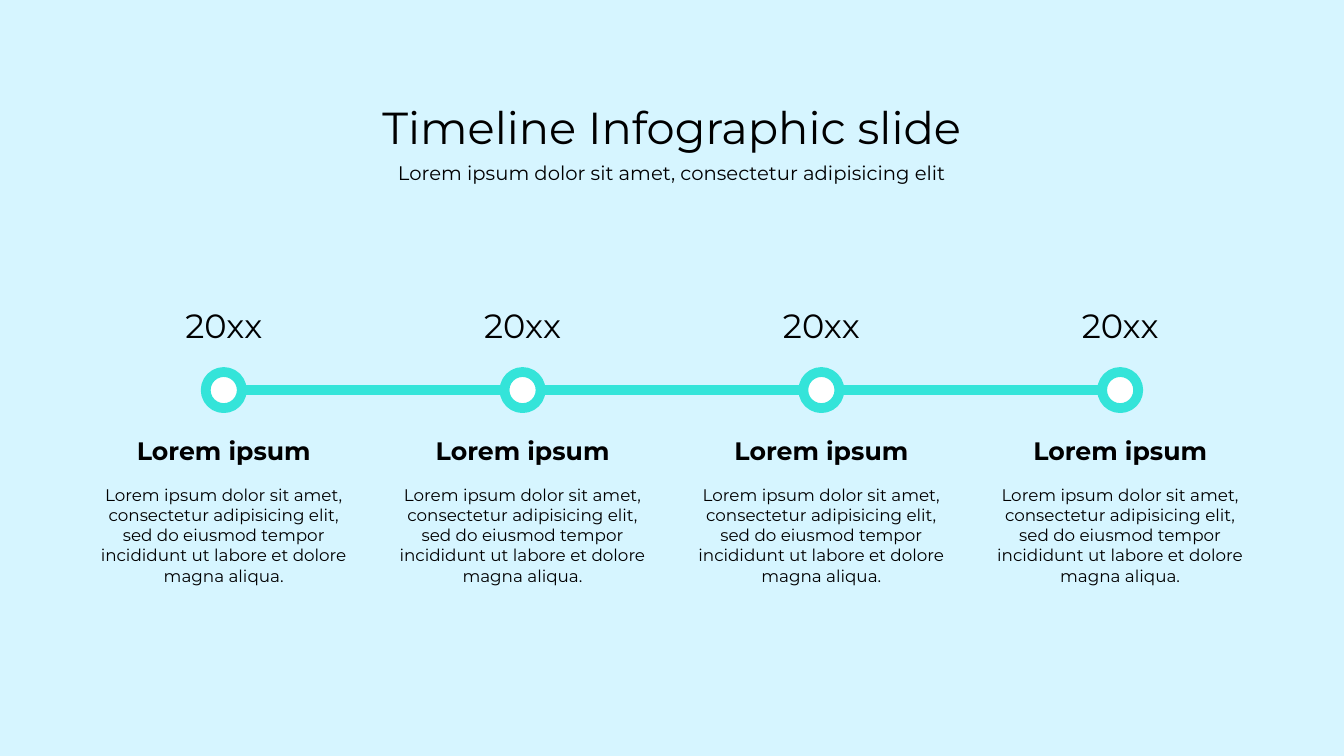
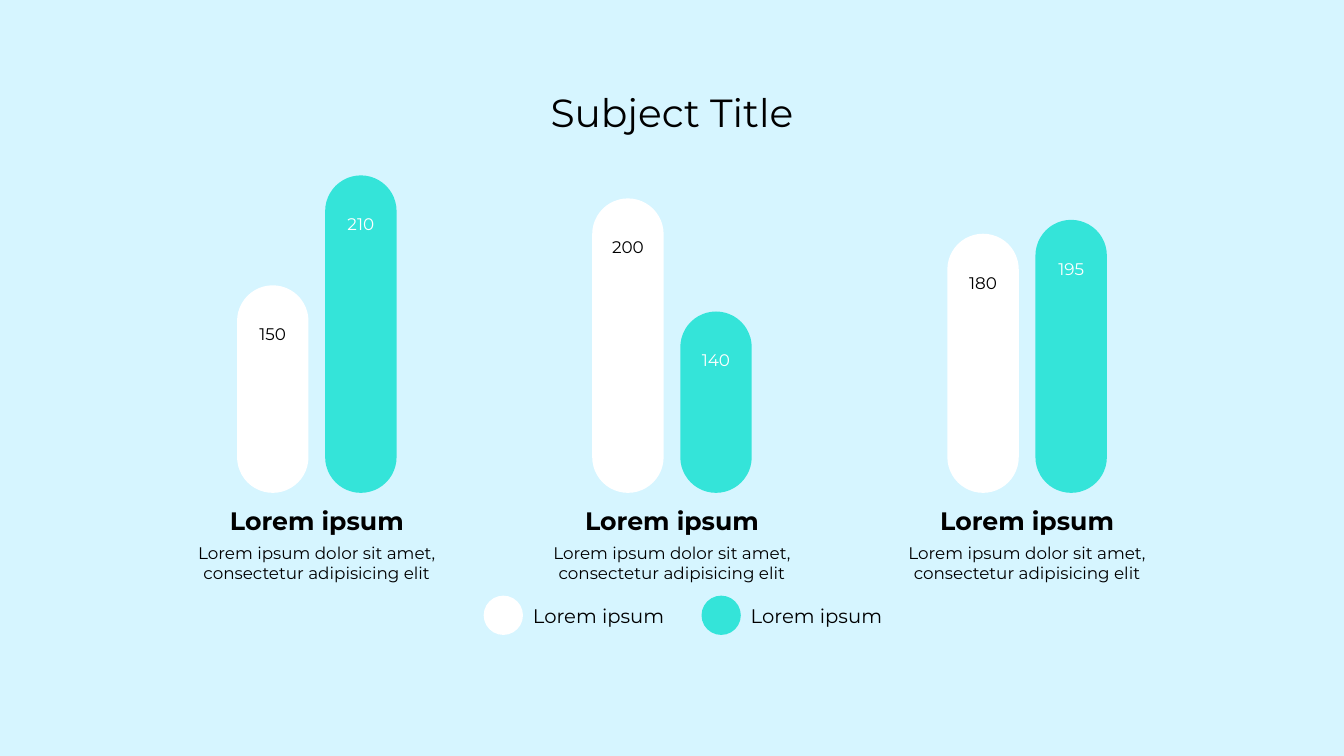
from lxml import etree
from pptx import Presentation
from pptx.dml.color import RGBColor
from pptx.enum.shapes import MSO_CONNECTOR, MSO_SHAPE
from pptx.enum.text import MSO_ANCHOR, PP_ALIGN
from pptx.oxml.ns import qn
from pptx.util import Cm, Pt

TITLE = "Timeline Infographic slide"
SUBTITLE = "Lorem ipsum dolor sit amet, consectetur adipisicing elit"
MILESTONE_BODY = (
    "Lorem ipsum dolor sit amet, consectetur adipisicing elit, sed do eiusmod "
    "tempor incididunt ut labore et dolore magna aliqua."
)
MILESTONES = [("20xx", "Lorem ipsum", MILESTONE_BODY)] * 4

CHART_TITLE = "Subject Title"
GROUP_BODY = "Lorem ipsum dolor sit amet, consectetur adipisicing elit"
BAR_GROUPS = [
    ("Lorem ipsum", GROUP_BODY, [("150", 5.23), ("210", 8.0)]),
    ("Lorem ipsum", GROUP_BODY, [("200", 7.42), ("140", 4.57)]),
    ("Lorem ipsum", GROUP_BODY, [("180", 6.53), ("195", 6.88)]),
]
LEGEND = ["Lorem ipsum", "Lorem ipsum"]

SKY = RGBColor(0xD6, 0xF5, 0xFF)
TURQUOISE = RGBColor(0x34, 0xE4, 0xD9)
WHITE = RGBColor(0xFF, 0xFF, 0xFF)
BLACK = RGBColor(0x00, 0x00, 0x00)
SERIES = [(WHITE, BLACK), (TURQUOISE, WHITE)]

FONT = "Montserrat"
CENTER, LEFT = PP_ALIGN.CENTER, PP_ALIGN.LEFT
TOP = MSO_ANCHOR.TOP
OVAL, ROUNDED = MSO_SHAPE.OVAL, MSO_SHAPE.ROUNDED_RECTANGLE
STRAIGHT = MSO_CONNECTOR.STRAIGHT

SLIDE_W, SLIDE_H = 33.87, 19.05
MIDDLE = SLIDE_W / 2
TITLE_W = 20.07
TRACK_WIDTH = Pt(7)


def centers(count, pitch):
    return [MIDDLE + (i - (count - 1) / 2) * pitch for i in range(count)]


def write(frame, text, size, color=BLACK, bold=False, align=CENTER):
    frame.word_wrap = True
    frame.vertical_anchor = TOP
    paragraph = frame.paragraphs[0]
    paragraph.alignment = align
    run = paragraph.add_run()
    run.text = text
    run.font.name = FONT
    run.font.size = Pt(size)
    run.font.bold = bold
    run.font.color.rgb = color


def add_text(slide, left, top, width, height, text, size, **style):
    box = slide.shapes.add_textbox(Cm(left), Cm(top), Cm(width), Cm(height))
    write(box.text_frame, text, size, **style)


def add_centered(slide, center, top, width, height, text, size, **style):
    add_text(slide, center - width / 2, top, width, height, text, size, **style)


def add_filled(slide, preset, left, top, width, height, color):
    shape = slide.shapes.add_shape(preset, Cm(left), Cm(top), Cm(width), Cm(height))
    shape.shadow.inherit = False
    shape.fill.solid()
    shape.fill.fore_color.rgb = color
    shape.line.fill.background()
    return shape


def set_track_line(line):
    line.color.rgb = TURQUOISE
    line.width = TRACK_WIDTH


def build_timeline(slide):
    dot, track_y = 0.91, 9.83
    columns = centers(len(MILESTONES), 7.53)

    add_centered(slide, MIDDLE, 2.39, TITLE_W, 1.63, TITLE, 32)
    add_centered(slide, MIDDLE, 3.94, TITLE_W, 0.86, SUBTITLE, 14)

    track = slide.shapes.add_connector(
        STRAIGHT, Cm(columns[0] + dot / 2), Cm(track_y),
        Cm(columns[-1] - dot / 2), Cm(track_y))
    set_track_line(track.line)
    etree.SubElement(track._element.spPr, qn("a:effectLst"))

    for center, (year, heading, body) in zip(columns, MILESTONES):
        marker = add_filled(slide, OVAL, center - dot / 2, track_y - dot / 2,
                            dot, dot, WHITE)
        set_track_line(marker.line)
        add_centered(slide, center, 7.57, 5.11, 1.27, year, 24)
        add_centered(slide, center, 10.85, 6.88, 1.02, heading, 18, bold=True)
        add_centered(slide, center, 12.09, 6.88, 2.82, body, 12)


def add_bar(slide, left, base, width, height, value, fill, ink):
    bar = add_filled(slide, ROUNDED, left, base - height, width, height, fill)
    bar.adjustments[0] = 0.5
    frame = bar.text_frame
    frame.margin_left = frame.margin_right = 0
    frame.margin_top, frame.margin_bottom = Cm(0.71), Cm(0.1)
    write(frame, value, 12, color=ink)


def build_bars(slide):
    bar_w, bar_pitch, base = 1.8, 2.22, 12.42
    label_w = 6.93

    add_centered(slide, MIDDLE, 2.11, TITLE_W, 1.45, CHART_TITLE, 28)

    group_centers = centers(len(BAR_GROUPS), 8.95)
    for center, (heading, body, bars) in zip(group_centers, BAR_GROUPS):
        first = center - (bar_pitch + bar_w) / 2
        for i, ((value, height), (fill, ink)) in enumerate(zip(bars, SERIES)):
            add_bar(slide, first + i * bar_pitch, base, bar_w, height,
                    value, fill, ink)
        add_centered(slide, center, 12.6, label_w, 1.02, heading, 18, bold=True)
        add_centered(slide, center, 13.54, label_w, 1.27, body, 12)

    key, key_left, key_pitch = 0.99, 12.19, 5.49
    for i, (label, (fill, _)) in enumerate(zip(LEGEND, SERIES)):
        left = key_left + i * key_pitch
        add_filled(slide, OVAL, left, 15.01, key, key, fill)
        add_text(slide, left + key, 15.09, 4.01, 0.86, label, 14, align=LEFT)


def main():
    prs = Presentation()
    prs.slide_width, prs.slide_height = Cm(SLIDE_W), Cm(SLIDE_H)
    background = prs.slide_master.background.fill
    background.solid()
    background.fore_color.rgb = SKY
    blank = prs.slide_layouts[6]
    for build in (build_timeline, build_bars):
        build(prs.slides.add_slide(blank))
    prs.save("out.pptx")


if __name__ == "__main__":
    main()
